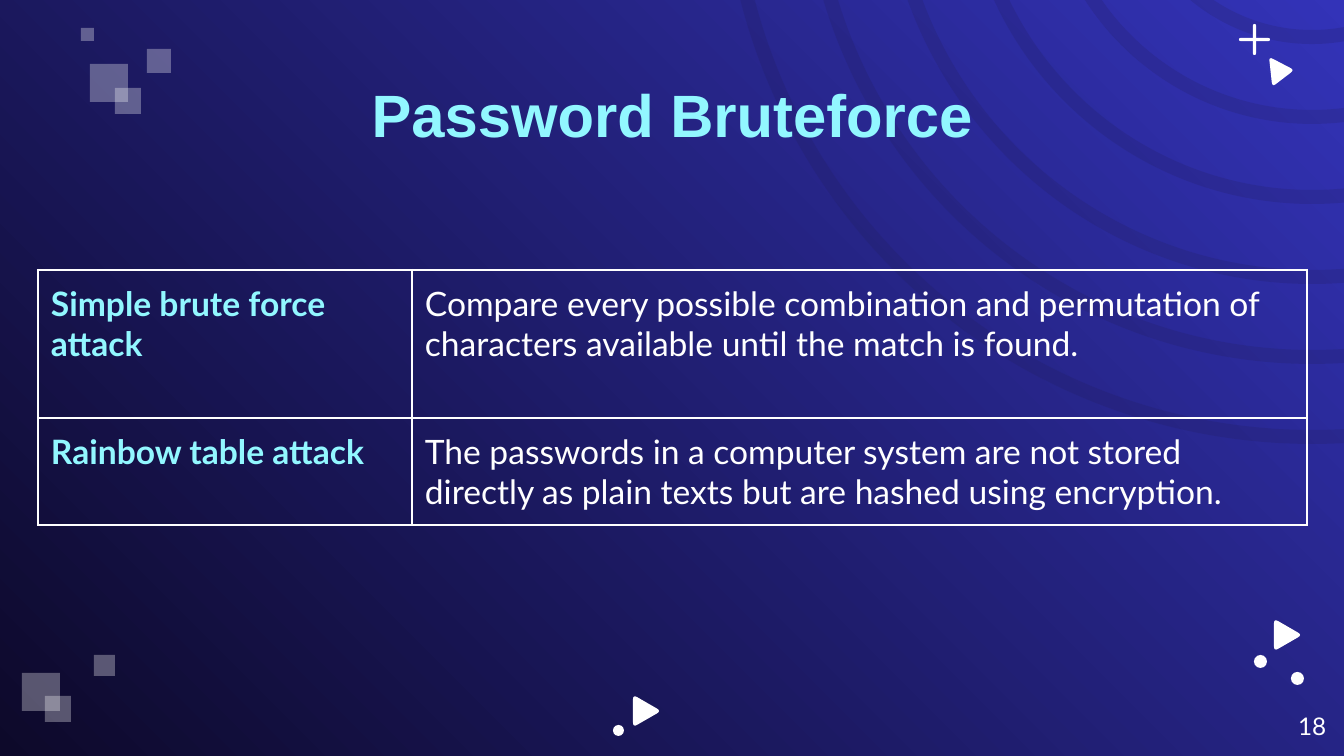
from dataclasses import dataclass

from lxml import etree
from pptx import Presentation
from pptx import util as u
from pptx.dml.color import RGBColor
from pptx.enum import shapes, text
from pptx.oxml.ns import qn

PX = 914400 / 134.4
KIND = shapes.MSO_SHAPE
ALIGN = text.PP_ALIGN


@dataclass(frozen=True)
class Theme:
    """Colours, fonts and type sizes of the deck."""
    dark: str = "0D092A"
    blue: str = "3333B8"
    ring: str = "201A4A"
    white: str = "FFFFFF"
    cyan: str = "92F7FF"
    head: str = "Arial"
    body: str = "Lato"
    title: int = 32
    cell: int = 18
    page: int = 13
    rule: float = 1.5


T = Theme()


def px(n):
    """Turn px into EMU."""
    return u.Emu(round(n * PX))


def rgb(tint):
    """Turn a hex string into a colour."""
    return RGBColor.from_string(tint)


def paint(shape, tint, alpha=100):
    """Give a shape a flat fill without line or shadow."""
    shape.shadow.inherit = False
    shape.fill.solid()
    shape.fill.fore_color.rgb = rgb(tint)
    shape.line.fill.background()
    if alpha < 100:
        clr = next(shape._element.spPr.iter(qn("a:srgbClr")))
        etree.SubElement(clr, qn("a:alpha")).set("val", str(alpha * 1000))


def form(slide, kind, box, tint=T.white, alpha=100, adj=None):
    """Add a painted preset shape in a box."""
    shape = slide.shapes.add_shape(kind, *map(px, box))
    if adj is not None:
        shape.adjustments[0] = adj
    paint(shape, tint, alpha)


def write(frame, words, size, font=T.body, tint=T.white, bold=False,
          align=ALIGN.LEFT, after=0):
    """Write one formatted paragraph into a text frame."""
    frame.word_wrap = True
    para = frame.paragraphs[0]
    para.alignment = align
    para.space_after = u.Pt(after)
    run = para.add_run()
    run.text = words
    run.font.name = font
    run.font.size = u.Pt(size)
    run.font.bold = bold
    run.font.color.rgb = rgb(tint)


def label(slide, box, words, size, anchor=text.MSO_ANCHOR.TOP, **style):
    """Add a text box with even margins."""
    frame = slide.shapes.add_textbox(*map(px, box)).text_frame
    frame.margin_left = frame.margin_right = px(13)
    frame.margin_top = frame.margin_bottom = px(13)
    frame.vertical_anchor = anchor
    write(frame, words, size, **style)


def rings(slide, x, y):
    """Draw concentric rings around a centre."""
    for r in range(590, 189, -80):
        form(slide, KIND.DONUT, (x - r, y - r, 2 * r, 2 * r), T.ring, 17, 7 / r)


def tiles(slide, x, y, parts):
    """Draw a cluster of translucent squares."""
    for dx, dy, side in parts:
        form(slide, KIND.RECTANGLE, (x + dx, y + dy, side, side), T.white, 31)


def plus(slide, x, y, side):
    """Draw a thin rounded plus sign."""
    mid = (side - 3) // 2
    form(slide, KIND.ROUNDED_RECTANGLE, (x + mid, y, 3, side), adj=0.5)
    form(slide, KIND.ROUNDED_RECTANGLE, (x, y + mid, side, 3), adj=0.5)


def dot(slide, x, y, side):
    """Draw a round dot."""
    form(slide, KIND.OVAL, (x, y, side, side))


def play(slide, box, tips=((0, -0.08), (1.13, 0.5), (0, 1.08)), cut=0.15):
    """Draw a triangle with rounded tips, given as shares of its box."""
    x, y, w, h = box
    pts = []
    for i, tip in enumerate(tips):
        prev, post = tips[i - 1], tips[(i + 1) % 3]
        for t in (0, 0.25, 0.5, 0.75, 1):
            a, b = cut * (1 - t) ** 2, cut * t ** 2
            fx, fy = (c + a * (p - c) + b * (n - c)
                      for c, p, n in zip(tip, prev, post))
            pts.append((px(x + fx * w), px(y + fy * h)))
    pen = slide.shapes.build_freeform(*pts[0])
    pen.add_line_segments(pts[1:], close=True)
    paint(pen.convert_to_shape(), T.white)


def edge(cell):
    """Rule all four sides of a cell."""
    props = cell._tc.get_or_add_tcPr()
    for side in ("a:lnL", "a:lnR", "a:lnT", "a:lnB"):
        line = etree.SubElement(props, qn(side), w=str(u.Pt(T.rule)))
        fill = etree.SubElement(line, qn("a:solidFill"))
        etree.SubElement(fill, qn("a:srgbClr"), val=T.white)


def grid(slide, x, y, cols, rows, data):
    """Add a ruled table of terms and their meanings."""
    box = (x, y, sum(cols), sum(rows))
    table = slide.shapes.add_table(len(rows), len(cols), *map(px, box)).table
    table.first_row = table.horz_banding = False
    for col, wide in zip(table.columns, cols):
        col.width = px(wide)
    for row, high, words in zip(table.rows, rows, data):
        row.height = px(high)
        for i, cell in enumerate(row.cells):
            edge(cell)
            cell.fill.background()
            cell.margin_left = cell.margin_right = px(13)
            cell.margin_top = cell.margin_bottom = px(13)
            style = {"after": 16} if i else {"tint": T.cyan, "bold": True}
            write(cell.text_frame, words[i], T.cell, **style)


def decor(slide):
    """Fill the backdrop and place its ornaments."""
    fill = slide.background.fill
    fill.gradient()
    fill.gradient_angle = 45
    for stop, tint in zip(fill.gradient_stops, (T.dark, T.blue)):
        stop.color.rgb = rgb(tint)
    rings(slide, 1312, -146)
    tiles(slide, 81, 28, ((9, 36, 38), (34, 60, 26), (66, 21, 24), (0, 0, 13)))
    tiles(slide, 22, 655, ((72, 0, 21), (0, 18, 38), (23, 41, 26)))
    plus(slide, 1239, 24, 31)
    play(slide, (1269, 60, 22, 24), ((0, -0.13), (1.15, 0.42), (0.15, 1.12)))
    play(slide, (1274, 621, 25, 28))
    play(slide, (633, 697, 25, 28))
    for spot in ((1291, 672, 13), (1254, 655, 13), (613, 725, 11)):
        dot(slide, *spot)


def main():
    """Build and save the slide."""
    deck = Presentation()
    deck.slide_width, deck.slide_height = px(1344), px(756)
    slide = deck.slides.add_slide(deck.slide_layouts[6])
    decor(slide)
    label(slide, (106, 79, 1133, 70), "Password Bruteforce", T.title,
          anchor=text.MSO_ANCHOR.MIDDLE, font=T.head, tint=T.cyan, bold=True,
          align=ALIGN.CENTER)
    grid(slide, 38, 270, (374, 895), (148, 107), (
        ("Simple brute force attack",
         "Compare every possible combination and permutation of characters "
         "available until the match is found."),
        ("Rainbow table attack",
         "The passwords in a computer system are not stored directly as plain "
         "texts but are hashed using encryption.")))
    label(slide, (1258, 698, 81, 58), "18", T.page, align=ALIGN.RIGHT)
    deck.save("out.pptx")


if __name__ == "__main__":
    main()
